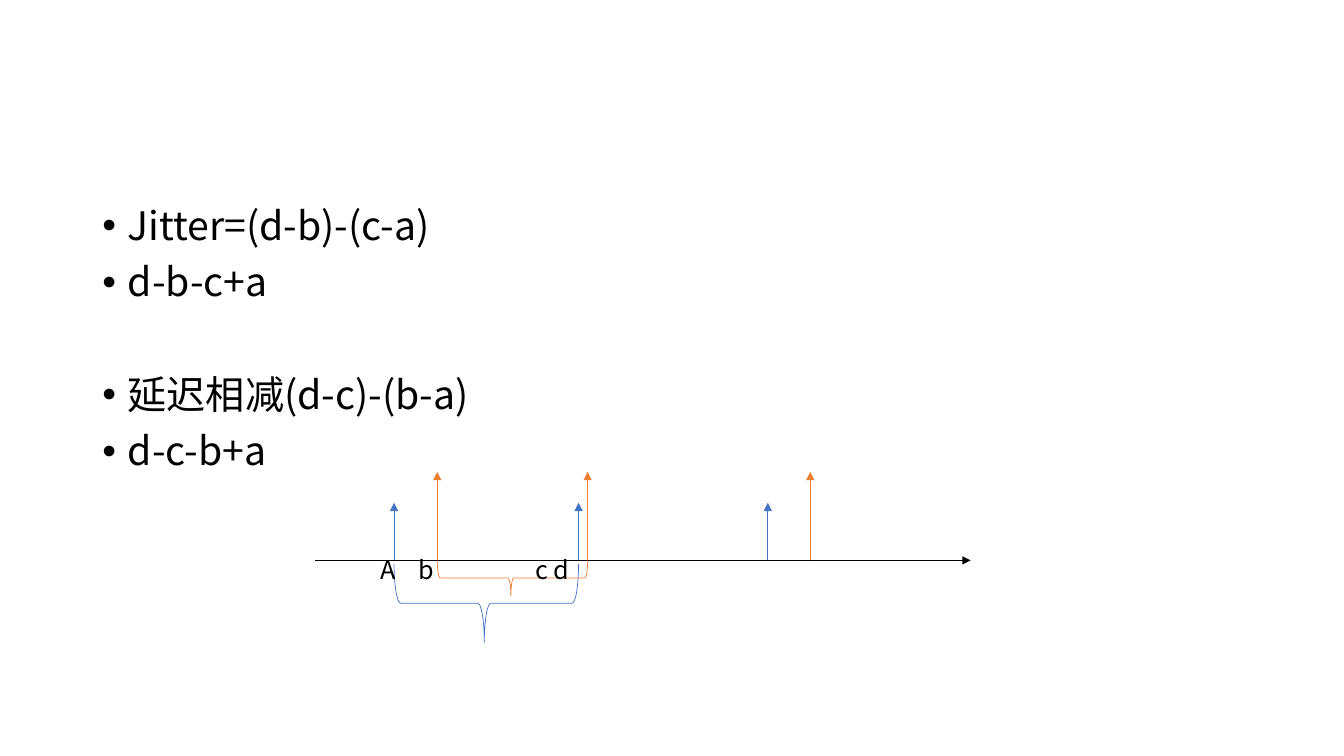
"""Build the slide on packet jitter: formulas above a timeline of send and receive times."""
from lxml.etree import SubElement
from pptx import Presentation
from pptx.dml.color import RGBColor
from pptx.enum.shapes import MSO_CONNECTOR, MSO_SHAPE
from pptx.oxml.ns import qn
from pptx.util import Cm, Pt

THEME = {
    "font": "Noto Sans CJK SC",
    "ink": RGBColor.from_string("000000"),
    "blue": RGBColor.from_string("4472C4"),
    "orange": RGBColor.from_string("ED7D31"),
    "body": Pt(28),
    "label": Pt(18),
    "line": Pt(0.5),
}

GROUPS = [
    ["Jitter=(d-b)-(c-a)", "d-b-c+a"],
    ["延迟相减(d-c)-(b-a)", "d-c-b+a"],
]
LABELS = "A\tb\tc d"
TABS = [0.94, 3.89]
AXIS = {"left": 7.95, "right": 24.46, "y": 14.12}
SERIES = [
    {"hue": "blue", "times": [9.93, 14.58, 19.35], "tip": 12.67, "top": 14.21, "depth": 1.98},
    {"hue": "orange", "times": [11.02, 14.81, 20.42], "tip": 11.89, "top": 14.12, "depth": 0.89},
]
GAP, SKIP = Pt(10), Pt(50.3)


def style(para, size):
    for run in para.runs:
        run.font.name = THEME["font"]
        run.font.size = size
        run.font.color.rgb = THEME["ink"]
        SubElement(run.font._element, qn("a:ea"), typeface=THEME["font"])


def box(slide, left, top, width, height):
    frame = slide.shapes.add_textbox(Cm(left), Cm(top), Cm(width), Cm(height)).text_frame
    frame.word_wrap = True
    return frame


def arrow(slide, start, end, hue):
    line = slide.shapes.add_connector(
        MSO_CONNECTOR.STRAIGHT, *(Cm(v) for v in (*start, *end)))
    line.line.color.rgb = THEME[hue]
    line.line.width = THEME["line"]
    SubElement(line.line._get_or_add_ln(), qn("a:tailEnd"), type="triangle")
    SubElement(line._element.spPr, qn("a:effectLst"))


def brace(slide, left, right, top, depth, hue):
    span = right - left
    x = (left + right - depth) / 2
    y = top + (depth - span) / 2
    shape = slide.shapes.add_shape(
        MSO_SHAPE.RIGHT_BRACE, Cm(x), Cm(y), Cm(depth), Cm(span))
    shape.rotation = 90
    shape.adjustments[0] = 0.083
    shape.adjustments[1] = 0.511
    shape.shadow.inherit = False
    shape.fill.background()
    shape.line.color.rgb = THEME[hue]
    shape.line.width = THEME["line"]


def formulas(slide):
    frame = box(slide, 2.33, 5.08, 29.21, 12.09)
    frame.text = "\n".join(text for group in GROUPS for text in group)
    heads = [group[0] for group in GROUPS[1:]]
    for para in frame.paragraphs:
        para.line_spacing = 0.9
        para.space_before = SKIP if para.text in heads else GAP
        props = para._p.get_or_add_pPr()
        props.set("marL", str(Cm(0.64)))
        props.set("indent", str(Cm(-0.64)))
        SubElement(props, qn("a:buFont"), typeface="Arial")
        SubElement(props, qn("a:buChar"), char="•")
        style(para, THEME["body"])


def labels(slide):
    frame = box(slide, 9.35, 13.84, 6.43, 1.02)
    frame.text = LABELS
    para = frame.paragraphs[0]
    stops = SubElement(para._p.get_or_add_pPr(), qn("a:tabLst"))
    for tab in TABS:
        SubElement(stops, qn("a:tab"), pos=str(Cm(tab)), algn="l")
    style(para, THEME["label"])


def main():
    deck = Presentation()
    deck.slide_width, deck.slide_height = Cm(33.87), Cm(19.05)
    slide = deck.slides.add_slide(deck.slide_layouts[6])
    formulas(slide)
    base = AXIS["y"]
    arrow(slide, (AXIS["left"], base), (AXIS["right"], base), "ink")
    for row in SERIES:
        for time in row["times"]:
            arrow(slide, (time, base), (time, row["tip"]), row["hue"])
        brace(slide, *row["times"][:2], row["top"], row["depth"], row["hue"])
    labels(slide)
    deck.save("out.pptx")


if __name__ == "__main__":
    main()
